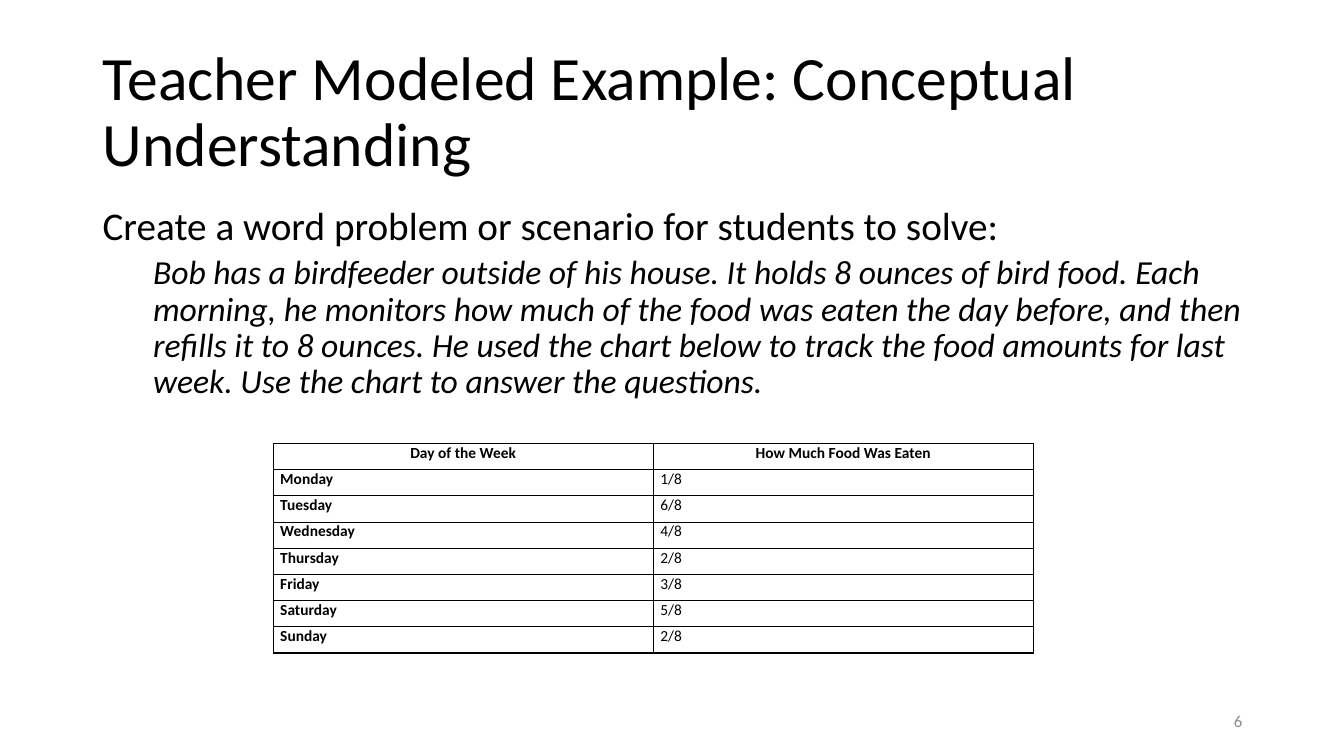
from dataclasses import dataclass
from typing import NamedTuple

from lxml.etree import SubElement
from pptx import Presentation
from pptx.dml.color import RGBColor
from pptx.enum.text import MSO_ANCHOR, MSO_AUTO_SIZE, PP_ALIGN
from pptx.oxml.ns import qn
from pptx.util import Emu, Pt

EMU_PER_PX = 9144  # 100 px to the inch


@dataclass(frozen=True)
class Theme:
    font: str = "Calibri"
    ink: str = "000000"
    muted: str = "8C8C8C"
    paper: str = "FFFFFF"
    title_size: int = 44
    prompt_size: int = 28
    scenario_size: int = 24
    table_size: int = 11
    number_size: int = 12
    border_width: int = 1


class Box(NamedTuple):
    left: int
    top: int
    width: int
    height: int


class Feeding(NamedTuple):
    day: str
    eaten: str


THEME = Theme()
TITLE_BOX = Box(92, 40, 1150, 145)
BODY_BOX = Box(92, 200, 1150, 476)
TABLE_BOX = Box(271, 440, 754, 208)
NUMBER_BOX = Box(942, 695, 300, 40)
CELL_INSET = 7
SCENARIO_INDENT = 50

HEADINGS = Feeding("Day of the Week", "How Much Food Was Eaten")
FEEDINGS = [
    Feeding("Monday", "1/8"),
    Feeding("Tuesday", "6/8"),
    Feeding("Wednesday", "4/8"),
    Feeding("Thursday", "2/8"),
    Feeding("Friday", "3/8"),
    Feeding("Saturday", "5/8"),
    Feeding("Sunday", "2/8"),
]
SCENARIO = (
    "Bob has a birdfeeder outside of his house. It holds 8 ounces of bird food. "
    "Each morning, he monitors how much of the food was eaten the day before, "
    "and then refills it to 8 ounces. He used the chart below to track the food "
    "amounts for last week. Use the chart to answer the questions."
)


def px(length: int) -> Emu:
    return Emu(length * EMU_PER_PX)


def place(box: Box) -> list[Emu]:
    return [px(length) for length in box]


def write(paragraph, text: str, *, size: int, color: str = THEME.ink,
          bold: bool = False, italic: bool = False, align=PP_ALIGN.LEFT,
          line: float = 1.0, before: int = 0, after: int = 0,
          indent: int = 0) -> None:
    paragraph.alignment = align
    paragraph.line_spacing = line
    paragraph.space_before = Pt(before)
    paragraph.space_after = Pt(after)
    if indent:
        paragraph.level = 1
        properties = paragraph._p.get_or_add_pPr()
        properties.set("marL", str(px(indent)))
        properties.set("indent", "0")
    run = paragraph.add_run()
    run.text = text
    run.font.name = THEME.font
    run.font.size = Pt(size)
    run.font.bold = bold
    run.font.italic = italic
    run.font.color.rgb = RGBColor.from_string(color)


def set_frame(frame, anchor) -> None:
    frame.word_wrap = True
    frame.auto_size = MSO_AUTO_SIZE.NONE
    frame.vertical_anchor = anchor


def add_frame(slide, box: Box, anchor):
    frame = slide.shapes.add_textbox(*place(box)).text_frame
    set_frame(frame, anchor)
    return frame


def outline_cell(cell) -> None:
    properties = cell._tc.get_or_add_tcPr()
    for edge in ("a:lnL", "a:lnR", "a:lnT", "a:lnB"):
        border = SubElement(properties, qn(edge), w=str(Pt(THEME.border_width)))
        fill = SubElement(border, qn("a:solidFill"))
        SubElement(fill, qn("a:srgbClr"), val=THEME.ink)


def fill_cell(cell, text: str, *, bold: bool, align) -> None:
    cell.margin_left = cell.margin_right = px(CELL_INSET)
    cell.margin_top = cell.margin_bottom = 0
    outline_cell(cell)  # borders come before the fill in the cell's XML
    cell.fill.background()
    write(cell.text_frame.paragraphs[0], text, size=THEME.table_size,
          bold=bold, align=align, before=6, after=6)


def add_feeding_table(slide, box: Box) -> None:
    records = [HEADINGS, *FEEDINGS]
    columns = len(HEADINGS)
    table = slide.shapes.add_table(len(records), columns, *place(box)).table
    table.first_row = table.horz_banding = False
    for column in table.columns:
        column.width = px(box.width // columns)
    for r, record in enumerate(records):
        table.rows[r].height = px(box.height // len(records))
        for c, text in enumerate(record):
            fill_cell(table.cell(r, c), text, bold=r == 0 or c == 0,
                      align=PP_ALIGN.CENTER if r == 0 else PP_ALIGN.LEFT)


def main() -> None:
    deck = Presentation()
    deck.slide_width, deck.slide_height = px(1333), px(750)
    slide = deck.slides.add_slide(deck.slide_layouts[5])
    slide.background.fill.solid()
    slide.background.fill.fore_color.rgb = RGBColor.from_string(THEME.paper)

    # Title
    title = slide.shapes.title
    title.left, title.top, title.width, title.height = place(TITLE_BOX)
    set_frame(title.text_frame, MSO_ANCHOR.MIDDLE)
    write(title.text_frame.paragraphs[0],
          "Teacher Modeled Example: Conceptual Understanding",
          size=THEME.title_size, line=0.9)

    # Prompt and scenario
    body = add_frame(slide, BODY_BOX, MSO_ANCHOR.TOP)
    write(body.paragraphs[0],
          "Create a word problem or scenario for students to solve:",
          size=THEME.prompt_size, line=0.9, before=10)
    write(body.add_paragraph(), SCENARIO, size=THEME.scenario_size,
          italic=True, line=0.9, before=5, indent=SCENARIO_INDENT)

    # Food eaten each day
    add_feeding_table(slide, TABLE_BOX)

    # Slide number
    number = add_frame(slide, NUMBER_BOX, MSO_ANCHOR.MIDDLE)
    write(number.paragraphs[0], "6", size=THEME.number_size,
          color=THEME.muted, align=PP_ALIGN.RIGHT)

    deck.save("out.pptx")


if __name__ == "__main__":
    main()
